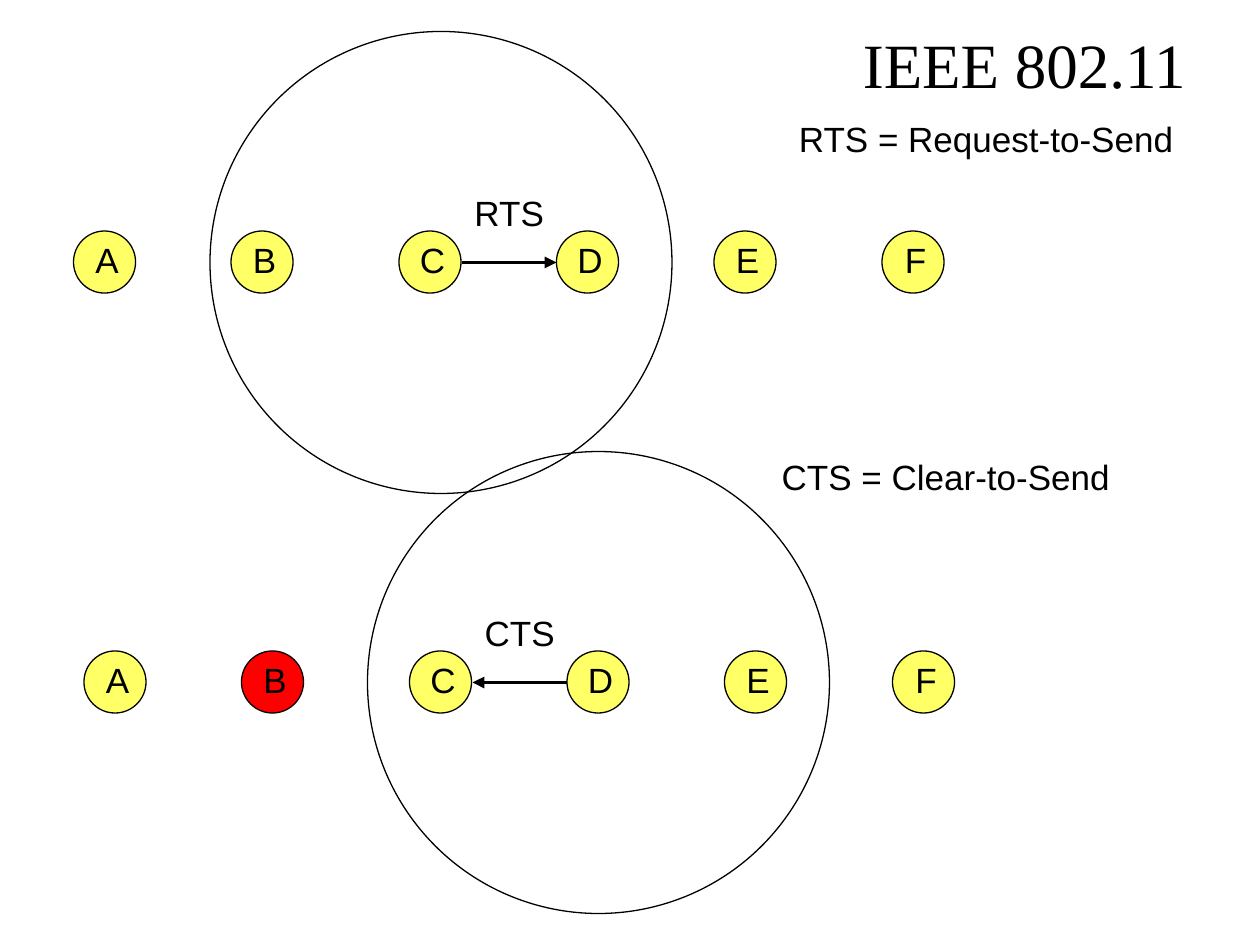
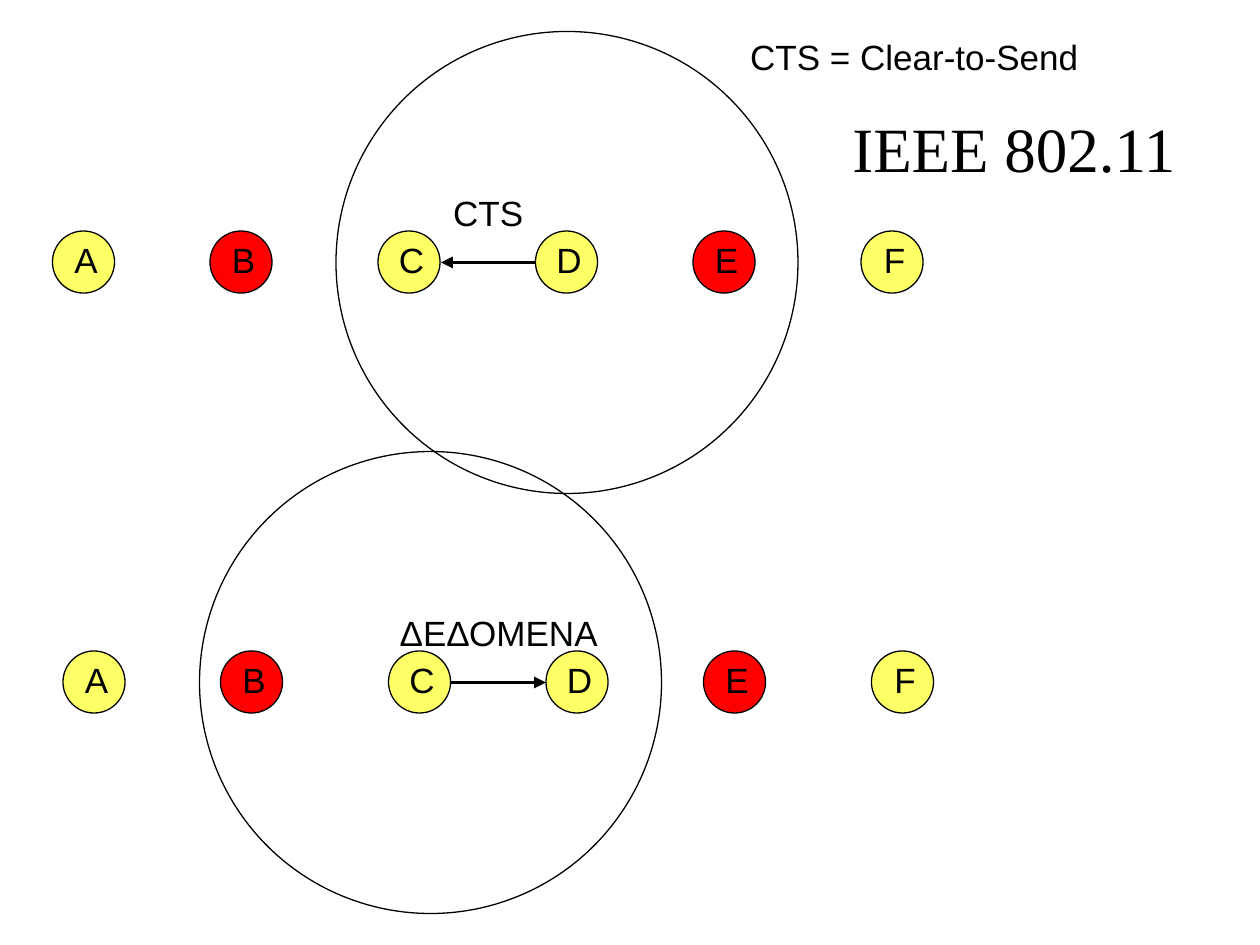
from dataclasses import dataclass

from lxml import etree
from pptx import Presentation
from pptx.dml.color import RGBColor
from pptx.enum import shapes, text
from pptx.oxml import ns
from pptx.util import Pt


@dataclass(frozen=True)
class Theme:
    ink: RGBColor = RGBColor(0, 0, 0)
    idle: RGBColor = RGBColor(0xFF, 0xFF, 0x66)
    blocked: RGBColor = RGBColor(0xFF, 0, 0)
    title_font: str = "Times New Roman"
    body_font: str = "Arial"
    title_size: float = 36
    body_size: float = 20
    thin: float = 0.75
    thick: float = 2.25
    line_spacing: float = 0.93


# Distances within a row, measured from the left edge of station A
STATIONS = {"A": 0, "B": 90, "C": 186, "D": 276, "E": 366, "F": 462}
RANGE_LEFT = {"C": 78, "D": 162}
CAPTION_CENTRE = 249
STATION_SIZE = 35.5
RANGE_SIZE = 264
ROW_TOPS = (132, 372)


class Sketch:
    """Draws the elements of the radio diagrams on the current page."""

    def __init__(self, deck, theme):
        self.deck = deck
        self.theme = theme
        self.page = None

    def new_page(self):
        self.page = self.deck.slides.add_slide(self.deck.slide_layouts[6])

    def set_words(self, frame, words, font, size, align, **frame_format):
        for name, value in frame_format.items():
            setattr(frame, name, value)
        para = frame.paragraphs[0]
        para.alignment = align
        para.line_spacing = self.theme.line_spacing
        span = para.add_run()
        span.text = words
        for name, value in {"name": font, "size": Pt(size)}.items():
            setattr(span.font, name, value)
        span.font.color.rgb = self.theme.ink

    def title(self, words, left, top, width):
        box = self.page.shapes.add_textbox(Pt(left), Pt(top), Pt(width), Pt(47.5))
        self.set_words(box.text_frame, words, self.theme.title_font,
                       self.theme.title_size, text.PP_ALIGN.LEFT, word_wrap=True,
                       vertical_anchor=text.MSO_ANCHOR.MIDDLE)

    def label(self, words, centre, top, width):
        box = self.page.shapes.add_textbox(Pt(centre - width / 2), Pt(top),
                                           Pt(width), Pt(29.5))
        self.set_words(box.text_frame, words, self.theme.body_font,
                       self.theme.body_size, text.PP_ALIGN.CENTER, word_wrap=False)

    def circle(self, left, top, size, fill=None):
        ring = self.page.shapes.add_shape(shapes.MSO_SHAPE.OVAL, Pt(left), Pt(top),
                                          Pt(size), Pt(size))
        ring.shadow.inherit = False
        ring.line.color.rgb = self.theme.ink
        ring.line.width = Pt(self.theme.thin)
        if fill is None:
            ring.fill.background()
        else:
            ring.fill.solid()
            ring.fill.fore_color.rgb = fill
        return ring

    def station(self, letter, left, top, fill):
        ring = self.circle(left, top, STATION_SIZE, fill)
        self.set_words(ring.text_frame, letter, self.theme.body_font,
                       self.theme.body_size, text.PP_ALIGN.CENTER, word_wrap=False,
                       margin_left=Pt(3), margin_right=0, margin_top=0,
                       margin_bottom=0, vertical_anchor=text.MSO_ANCHOR.MIDDLE)

    def arrow(self, start, end, height):
        link = self.page.shapes.add_connector(shapes.MSO_CONNECTOR.STRAIGHT, Pt(start),
                                              Pt(height), Pt(end), Pt(height))
        link.line.color.rgb = self.theme.ink
        link.line.width = Pt(self.theme.thick)
        properties = link.element.spPr
        outline = properties.find(ns.qn("a:ln"))
        etree.SubElement(outline, ns.qn("a:tailEnd"), type="triangle")
        etree.SubElement(properties, ns.qn("a:effectLst"))

    def exchange(self, left, top, sender, message, width, blocked):
        """Draws a row of stations in which C or D sends the other a message."""
        for letter, offset in STATIONS.items():
            fill = self.theme.blocked if letter in blocked else self.theme.idle
            self.station(letter, left + offset, top, fill)
        ends = (left + STATIONS["C"] + 36, left + STATIONS["D"])
        start, end = ends if sender == "C" else ends[::-1]
        self.arrow(start, end, top + 18)
        self.circle(left + RANGE_LEFT[sender], top - 114, RANGE_SIZE)
        self.label(message, left + CAPTION_CENTRE, top - 24, width)


# title: left, top, width; rows: left, sender, message, message width, blocked;
# legends: words, centre, top, width
PAGES = [
    {
        "title": (486, 15, 233),
        "rows": [(42, "C", "RTS", 55, ""), (48, "D", "CTS", 55, "B")],
        "legends": [("RTS = Request-to-Send", 563.5, 66, 229),
                    ("CTS = Clear-to-Send", 540.5, 259, 202)],
    },
    {
        "title": (480, 62.5, 240),
        "rows": [(30, "D", "CTS", 55, "BE"), (36, "C", "ΔΕΔΟΜΕΝΑ", 128, "BE")],
        "legends": [("CTS = Clear-to-Send", 522.5, 19, 202)],
    },
]


def main():
    deck = Presentation()
    deck.slide_width, deck.slide_height = Pt(720), Pt(540)
    sketch = Sketch(deck, Theme())
    for content in PAGES:
        sketch.new_page()
        sketch.title("IEEE 802.11", *content["title"])
        for top, (left, *details) in zip(ROW_TOPS, content["rows"]):
            sketch.exchange(left, top, *details)
        for legend in content["legends"]:
            sketch.label(*legend)
    deck.save("out.pptx")


if __name__ == "__main__":
    main()
